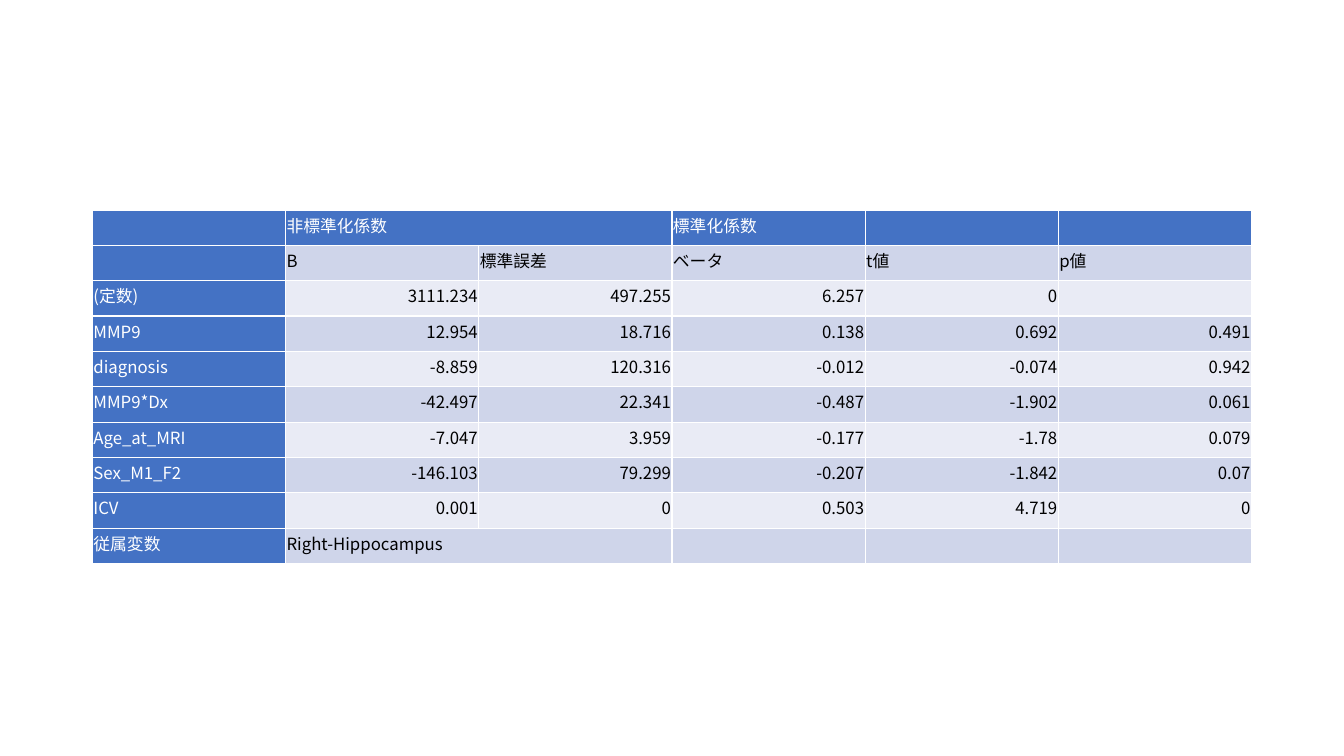
from lxml import etree
from pptx import Presentation
from pptx.dml.color import RGBColor
from pptx.enum.text import MSO_ANCHOR, PP_ALIGN
from pptx.oxml.ns import qn
from pptx.util import Pt

MIDDLE = MSO_ANCHOR.MIDDLE
LEFT, RIGHT = PP_ALIGN.LEFT, PP_ALIGN.RIGHT
WHITE = RGBColor(0xFF, 0xFF, 0xFF)
BLACK = RGBColor(0x00, 0x00, 0x00)
HEADER_BLUE = RGBColor(0x44, 0x72, 0xC4)
DARK_BAND = RGBColor(0xCF, 0xD5, 0xEA)
LIGHT_BAND = RGBColor(0xE9, 0xEB, 0xF5)
FONT_NAME = "Noto Sans CJK JP"
COLUMN_WIDTH = 138
ROW_HEIGHT = 25.27

REGRESSION_ROWS = [
    ["", "非標準化係数", "", "標準化係数", "", ""],
    ["", "B", "標準誤差", "ベータ", "t値", "p値"],
    ["(定数)", "3111.234", "497.255", "6.257", "0", ""],
    ["MMP9", "12.954", "18.716", "0.138", "0.692", "0.491"],
    ["diagnosis", "-8.859", "120.316", "-0.012", "-0.074", "0.942"],
    ["MMP9*Dx", "-42.497", "22.341", "-0.487", "-1.902", "0.061"],
    ["Age_at_MRI", "-7.047", "3.959", "-0.177", "-1.78", "0.079"],
    ["Sex_M1_F2", "-146.103", "79.299", "-0.207", "-1.842", "0.07"],
    ["ICV", "0.001", "0", "0.503", "4.719", "0"],
    ["従属変数", "Right-Hippocampus", "", "", "", ""],
]


def add_borders(cell):
    """Draw a thin white line on all four sides of a cell."""
    properties = cell._tc.get_or_add_tcPr()
    for side in ("a:lnL", "a:lnR", "a:lnT", "a:lnB"):
        line = etree.SubElement(properties, qn(side), w=str(Pt(1)))
        fill = etree.SubElement(line, qn("a:solidFill"))
        etree.SubElement(fill, qn("a:srgbClr"), val=str(WHITE))


def write_text(cell, text, color, alignment):
    """Write one aligned line of text in a cell."""
    cell.text = text
    cell.vertical_anchor = MIDDLE
    cell.margin_left = cell.margin_right = cell.margin_top = Pt(0.75)
    cell.margin_bottom = Pt(5)
    paragraph = cell.text_frame.paragraphs[0]
    paragraph.alignment = alignment
    font = paragraph.font
    font.name = FONT_NAME
    font.size = Pt(12)
    font.color.rgb = color
    etree.SubElement(font._element, qn("a:ea"), typeface=FONT_NAME)


def fill_cell(cell, text, row, column):
    """Style a cell by its place in the table."""
    is_header = row == 0 or column == 0
    band = DARK_BAND if row % 2 else LIGHT_BAND
    is_value = column > 0 and 2 <= row < len(REGRESSION_ROWS) - 1
    write_text(cell, text, WHITE if is_header else BLACK, RIGHT if is_value else LEFT)
    add_borders(cell)
    cell.fill.solid()
    cell.fill.fore_color.rgb = HEADER_BLUE if is_header else band


def add_regression_table(slide, left, top):
    """Add the table of regression coefficients."""
    row_count, column_count = len(REGRESSION_ROWS), len(REGRESSION_ROWS[0])
    table = slide.shapes.add_table(
        row_count, column_count, Pt(left), Pt(top),
        Pt(COLUMN_WIDTH * column_count), Pt(ROW_HEIGHT * row_count),
    ).table
    for row, texts in enumerate(REGRESSION_ROWS):
        for column, text in enumerate(texts):
            fill_cell(table.cell(row, column), text, row, column)
    for row in (0, row_count - 1):
        table.cell(row, 1).merge(table.cell(row, 2))


def main():
    """Build the slide and save it."""
    presentation = Presentation()
    presentation.slide_width = Pt(960)
    presentation.slide_height = Pt(540)
    slide = presentation.slides.add_slide(presentation.slide_layouts[6])
    add_regression_table(slide, 66, 150)
    presentation.save("out.pptx")


if __name__ == "__main__":
    main()
